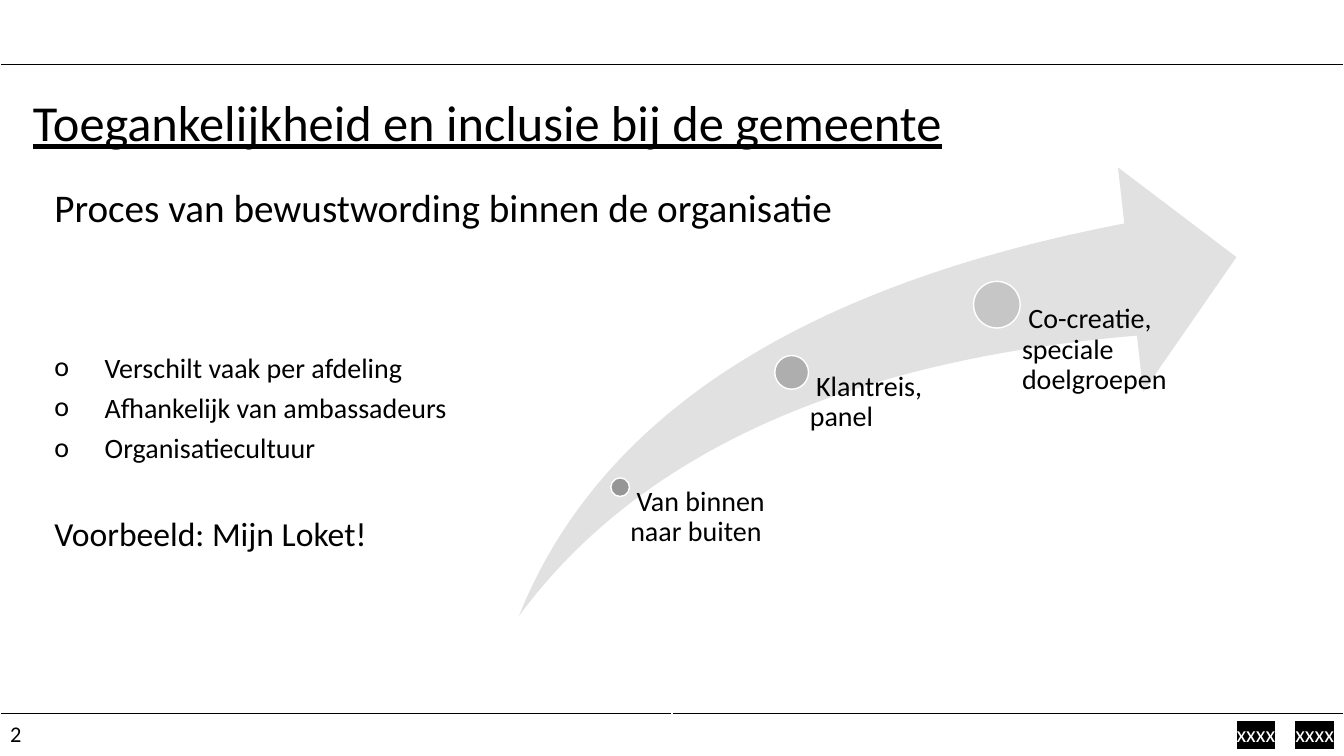
from lxml import etree
from pptx import Presentation
from pptx.dml.color import RGBColor
from pptx.enum import shapes, text
from pptx.oxml import ns
from pptx.util import Cm, Pt

FONT = "Calibri"
WIDTH, HEIGHT = 33.87, 19.05
COLORS = {
    "text": "000000", "paper": "FFFFFF", "arrow": "E1E1E1",
    "dot_1": "969696", "dot_2": "AEAEAE", "dot_3": "C6C6C6",
}


def color(name):
    return RGBColor.from_string(COLORS[name])


def style(paragraph, size, ink="text"):
    for run in paragraph.runs:
        run.font.name = FONT
        run.font.size = Pt(size)
        run.font.color.rgb = color(ink)


def solid(parent, name):
    fill = etree.SubElement(parent, ns.qn("a:solidFill"))
    etree.SubElement(fill, ns.qn("a:srgbClr"), val=COLORS[name])


def highlight(run, name):
    mark = etree.Element(ns.qn("a:highlight"))
    etree.SubElement(mark, ns.qn("a:srgbClr"), val=COLORS[name])
    run.font._element.find(ns.qn("a:solidFill")).addnext(mark)


def add_text(slide, box, insets=(0.25, 0.13, 0.25, 0.13)):
    """Adds a wrapping text box; insets run left, top, right, bottom."""
    frame = slide.shapes.add_textbox(*map(Cm, box)).text_frame
    frame.word_wrap = True
    (frame.margin_left, frame.margin_top,
     frame.margin_right, frame.margin_bottom) = map(Cm, insets)
    return frame


def add_band(slide, box, columns, borders):
    """Adds a one-row table; borders map a side to a colour and a width in points."""
    table = slide.shapes.add_table(1, columns, *map(Cm, box)).table
    table.first_row = table.horz_banding = False
    for cell in table.iter_cells():
        cell.fill.solid()
        cell.fill.fore_color.rgb = color("paper")
        cell.vertical_anchor = text.MSO_ANCHOR.MIDDLE
        properties = cell._tc.get_or_add_tcPr()
        for index, side in enumerate("LRTB"):
            name, width = borders[side]
            line = etree.Element(ns.qn("a:ln" + side), w=str(Pt(width)))
            solid(line, name)
            properties.insert(index, line)
    return table


def add_header(slide, box):
    white = ("paper", 1)
    add_band(slide, box, 1, {"L": white, "R": white, "T": white, "B": ("text", 1)})


def add_footer(slide, box):
    white = ("paper", 1)
    table = add_band(slide, box, 2, {
        "L": white, "R": white, "T": ("text", 1.5), "B": ("paper", 3)})
    number, marks = (cell.text_frame.paragraphs[0] for cell in table.iter_cells())
    number.text = "2"
    style(number, 16)
    marks.alignment = text.PP_ALIGN.RIGHT
    for part in ("xxxx", " ", "xxxx"):
        marks.add_run().text = part
    style(marks, 16, "paper")
    first, gap, last = marks.runs
    gap.font._element.set("spc", "1070")
    for run in (first, last):
        highlight(run, "text")


def add_title(slide, box):
    frame = add_text(slide, box, (0.83, 0.13, 0.25, 0.13))
    frame.vertical_anchor = text.MSO_ANCHOR.MIDDLE
    frame.text = "Toegankelijkheid en inclusie bij de gemeente"
    paragraph = frame.paragraphs[0]
    paragraph.line_spacing = 0.9
    style(paragraph, 36)
    paragraph.runs[0].font.underline = True


def add_body(slide, box):
    lines = [  # wording, size, space before, bulleted
        ("Proces van bewustwording binnen de organisatie", 28, 0, False),
        ("Verschilt vaak per afdeling", 20, 81, True),
        ("Afhankelijk van ambassadeurs", 20, 0, True),
        ("Organisatiecultuur", 20, 0, True),
        ("Voorbeeld: Mijn Loket!", 24, 29, False),
    ]
    frame = add_text(slide, box)
    frame.text = "\n".join(line[0] for line in lines)
    for paragraph, (_, size, before, bulleted) in zip(frame.paragraphs, lines):
        paragraph.line_spacing = 1.2
        paragraph.space_before = Pt(before)
        style(paragraph, size)
        if bulleted:
            properties = paragraph._p.get_or_add_pPr()
            properties.set("marL", str(Cm(1.27)))
            properties.set("indent", str(-Cm(1.27)))
            etree.SubElement(properties, ns.qn("a:buFont"), typeface=FONT)
            etree.SubElement(properties, ns.qn("a:buChar"), char="o")


def add_shape(slide, kind, box, fill):
    shape = slide.shapes.add_shape(kind, *map(Cm, box))
    shape.shadow.inherit = False
    shape.fill.solid()
    shape.fill.fore_color.rgb = color(fill)
    shape.line.fill.background()
    return shape


def add_growth_arrow(slide, box):
    """Draws the rising arrow with its steps, placed as shares of the box."""
    left, top, width, height = box
    arrow = add_shape(slide, shapes.MSO_SHAPE.SWOOSH_ARROW, box, "arrow")
    arrow.adjustments[0] = arrow.adjustments[1] = 0.25
    steps = [  # wording, centre across, centre down, diameter, fill
        ("Van binnen naar buiten", 0.141, 0.713, 0.026, "dot_1"),
        ("Klantreis, panel", 0.38, 0.457, 0.047, "dot_2"),
        ("Co-creatie, speciale doelgroepen", 0.666, 0.306, 0.065, "dot_3"),
    ]
    for wording, across, down, share, fill in steps:
        x, y, size = left + across * width, top + down * height, share * width
        dot = add_shape(slide, shapes.MSO_SHAPE.OVAL,
                        (x - size / 2, y - size / 2, size, size), fill)
        dot.line.color.rgb = color("paper")
        dot.line.width = Pt(1)
        frame = add_text(slide, (x, y, 0.24 * width, top + height - y),
                         (0.54 * size, 0, 0, 0))
        frame.text = wording
        paragraph = frame.paragraphs[0]
        paragraph.line_spacing = 0.9
        paragraph._p.get_or_add_pPr().set("indent", str(Cm(0.16)))
        style(paragraph, 20)


def main():
    presentation = Presentation()
    presentation.slide_width, presentation.slide_height = Cm(WIDTH), Cm(HEIGHT)
    slide = presentation.slides.add_slide(presentation.slide_layouts[6])
    add_header(slide, (0, -0.12, WIDTH, 1.75))
    add_footer(slide, (0, HEIGHT - 1.07, WIDTH, 1.07))
    add_title(slide, (0, 1.68, WIDTH, 2.95))
    add_body(slide, (1.12, 4.24, 26.09, 9.83))
    add_growth_arrow(slide, (13.08, 4.22, 18.08, 11.3))
    presentation.save("out.pptx")


if __name__ == "__main__":
    main()
